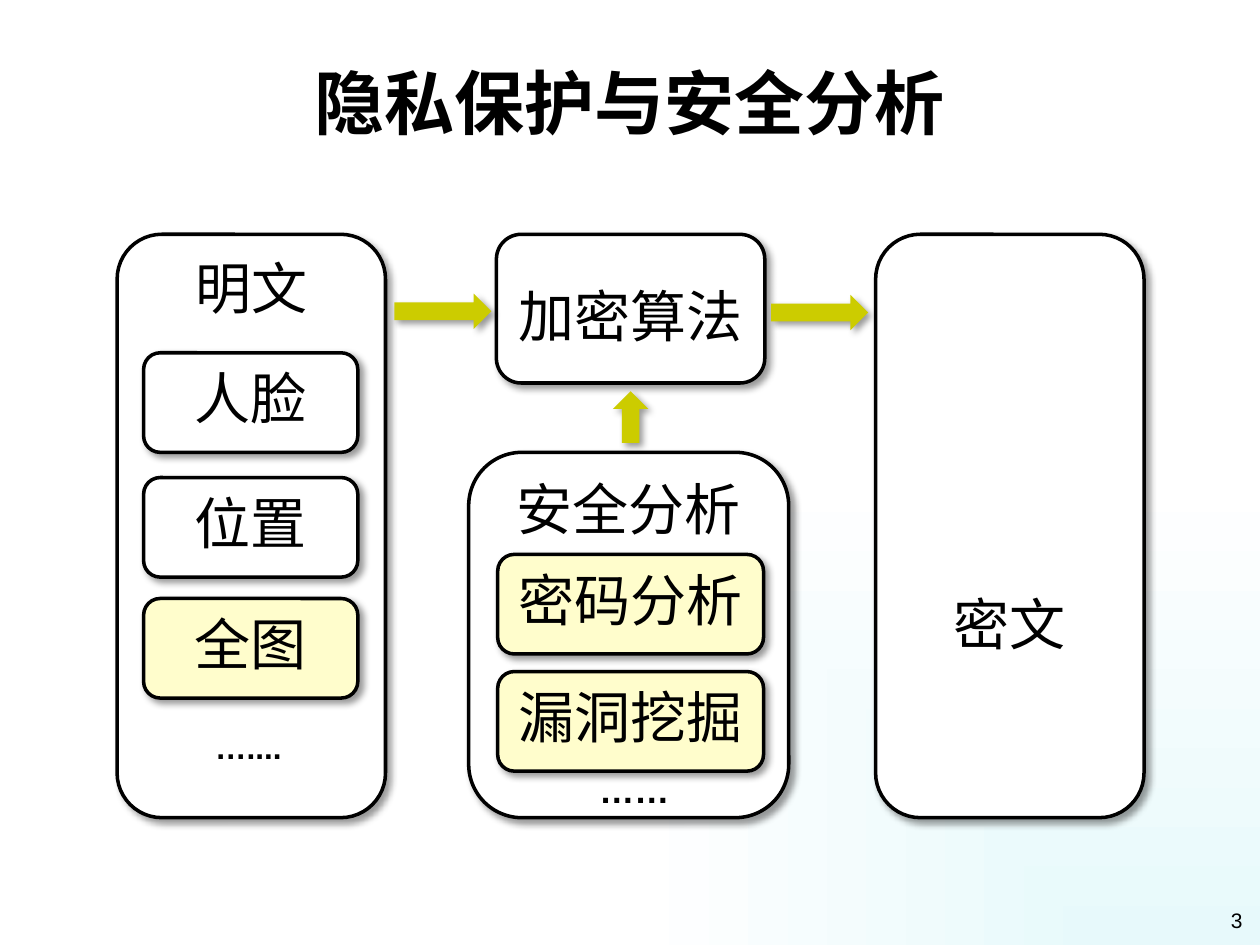
from lxml import etree
from pptx import Presentation
from pptx.dml.color import RGBColor
from pptx.enum.shapes import MSO_SHAPE
from pptx.enum.text import MSO_ANCHOR, PP_ALIGN
from pptx.oxml import parse_xml
from pptx.oxml.ns import nsdecls, qn
from pptx.util import Inches, Pt

BLACK = RGBColor(0x00, 0x00, 0x00)
WHITE = RGBColor(0xFF, 0xFF, 0xFF)
CREAM = RGBColor(0xFF, 0xFD, 0xCC)
OLIVE = RGBColor(0xCC, 0xCC, 0x00)
PALE_CYAN = RGBColor(0xE7, 0xF9, 0xFB)

ROUNDED = MSO_SHAPE.ROUNDED_RECTANGLE
ARROW = MSO_SHAPE.RIGHT_ARROW
LEFT, CENTER, RIGHT = PP_ALIGN.LEFT, PP_ALIGN.CENTER, PP_ALIGN.RIGHT
TOP, BOTTOM = MSO_ANCHOR.TOP, MSO_ANCHOR.BOTTOM

CHINESE = "Noto Sans CJK SC"
LATIN = "Arial"

SHADOW = (
    f'<a:effectLst {nsdecls("a")}>'
    f'<a:outerShdw blurRad="{Pt(4)}" dist="{Pt(3)}" dir="2700000" algn="tl" rotWithShape="0">'
    '<a:srgbClr val="000000"><a:alpha val="40000"/></a:srgbClr>'
    '</a:outerShdw></a:effectLst>'
)


class Diagram:
    def __init__(self, page):
        self.page = page

    def background(self, corner, far):
        """Fade from the bottom right corner to the far edges."""
        fill = self.page.background.fill
        fill.gradient()
        for stop, color in zip(fill.gradient_stops, (corner, far)):
            stop.color.rgb = color
        gradient = self.page.element.find(".//" + qn("a:gradFill"))
        gradient.remove(gradient.find(qn("a:lin")))
        fade = etree.SubElement(gradient, qn("a:path"), path="rect")
        etree.SubElement(fade, qn("a:fillToRect"), l="100000", t="100000")

    def set_text(self, shape, text, size, font, align, anchor=TOP, bold=False, spacing=None):
        frame = shape.text_frame
        frame.word_wrap = True
        frame.vertical_anchor = anchor
        frame.text = text
        para = frame.paragraphs[0]
        para.alignment = align
        if spacing:
            para.line_spacing = spacing
        for span in para.runs:
            span.font.size = Pt(size)
            span.font.bold = bold
            span.font.name = font
            span.font.color.rgb = BLACK
            etree.SubElement(span.font._element, qn("a:ea"), typeface=font)

    def shape(self, kind, left, top, width, height, color):
        shape = self.page.shapes.add_shape(
            kind, Inches(left), Inches(top), Inches(width), Inches(height))
        shape.fill.solid()
        shape.fill.fore_color.rgb = color
        shape.line.fill.background()
        shape.shadow.inherit = False
        effects = shape.element.spPr.find(qn("a:effectLst"))
        effects.getparent().replace(effects, parse_xml(SHADOW))
        return shape

    def box(self, text, left, top, width, height, color=WHITE, spacing=None):
        box = self.shape(ROUNDED, left, top, width, height, color)
        box.line.color.rgb = BLACK
        box.line.width = Pt(2)
        self.set_text(box, text, 32, CHINESE, CENTER, spacing=spacing)

    def arrow(self, left, top, width, rotation=0):
        arrow = self.shape(ARROW, left, top, width, 0.28, OLIVE)
        arrow.rotation = rotation

    def label(self, text, left, top, width, height, size, align=CENTER,
              font=LATIN, bold=True, anchor=TOP):
        label = self.page.shapes.add_textbox(
            Inches(left), Inches(top), Inches(width), Inches(height))
        self.set_text(label, text, size, font, align, anchor, bold)


def main():
    deck = Presentation()
    deck.slide_width, deck.slide_height = Inches(10), Inches(7.5)
    diagram = Diagram(deck.slides.add_slide(deck.slide_layouts[6]))
    diagram.background(PALE_CYAN, WHITE)
    diagram.label("隐私保护与安全分析", 0.35, 0, 9.29, 1.19, 40, font=CHINESE, anchor=BOTTOM)
    diagram.label("3", 7.63, 7.15, 2.33, 0.35, 12, RIGHT, bold=False)

    diagram.box("明文", 0.93, 1.86, 2.13, 4.63)
    for text, top, color in (("人脸", 2.8, WHITE), ("位置", 3.79, WHITE), ("全图", 4.75, CREAM)):
        diagram.box(text, 1.14, top, 1.7, 0.79, color)
    diagram.label("…....", 1.61, 5.73, 0.76, 0.4, 18, LEFT)

    diagram.box("加密算法", 3.94, 1.86, 2.13, 1.18, spacing=1.5)
    diagram.box("密文", 6.95, 1.86, 2.13, 4.63, spacing=6)

    diagram.box("安全分析", 3.72, 3.59, 2.54, 2.9)
    for text, top in (("密码分析", 4.4), ("漏洞挖掘", 5.33)):
        diagram.box(text, 3.95, top, 2.11, 0.79, CREAM)
    diagram.label("……", 4.57, 6.05, 0.93, 0.44, 20)

    diagram.arrow(3.13, 2.33, 0.77)
    diagram.arrow(6.12, 2.34, 0.77)
    diagram.arrow(4.8, 3.17, 0.41, rotation=270)

    deck.save("out.pptx")


if __name__ == "__main__":
    main()
